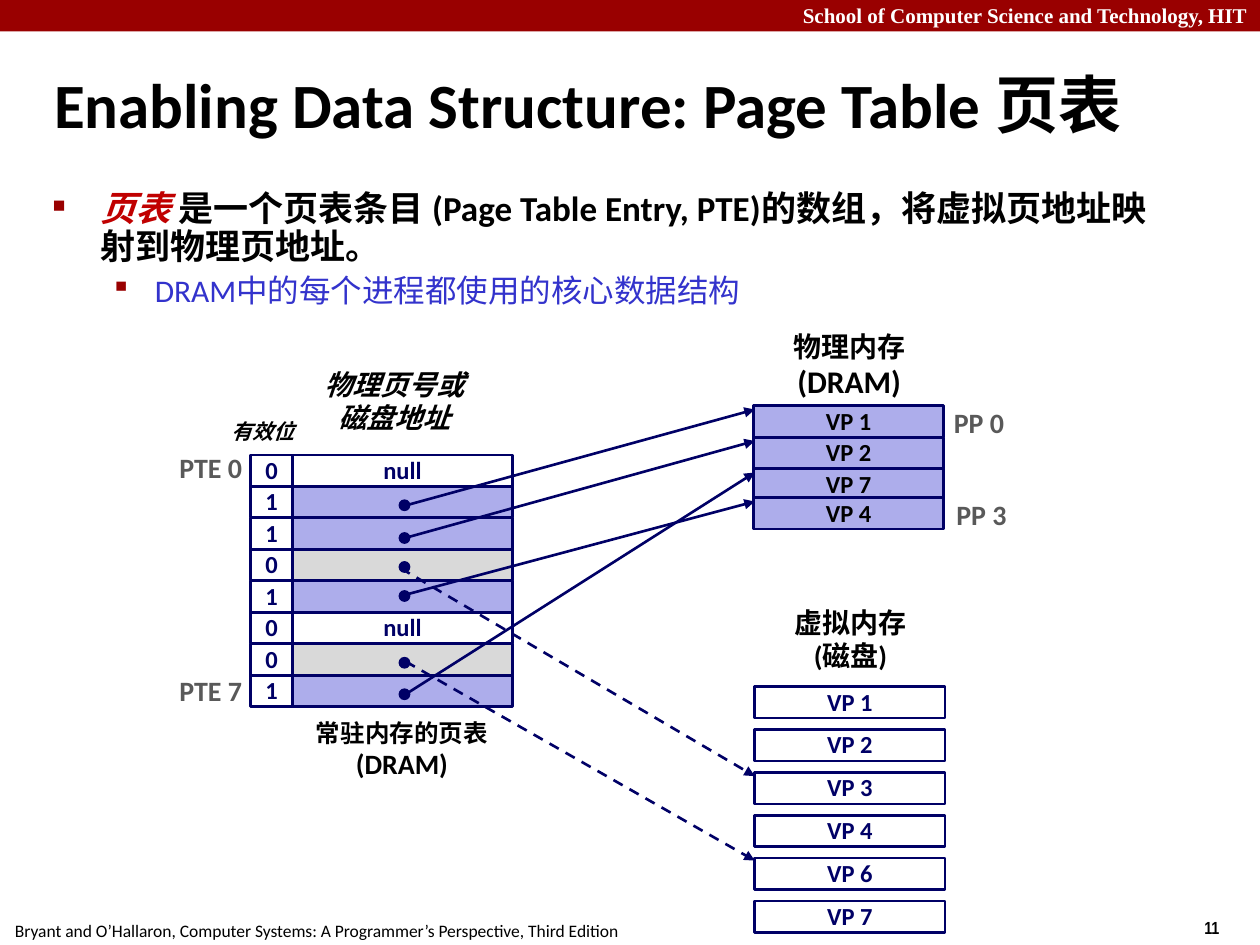
from lxml.etree import SubElement
from pptx import Presentation
from pptx.dml.color import RGBColor
from pptx.enum.dml import MSO_LINE
from pptx.enum.shapes import MSO_CONNECTOR, MSO_SHAPE
from pptx.enum.text import MSO_ANCHOR, PP_ALIGN
from pptx.oxml.ns import qn
from pptx.util import Inches, Pt

COLORS = {
    "band": "990000", "red": "C00000", "blue": "3333CC", "navy": "000066",
    "lilac": "ADADEB", "silver": "D9D9D9", "gray": "595959",
    "black": "000000", "white": "FFFFFF",
}
ROW_HEIGHT = 0.25
TABLE_TOP = 3.61
PAGE_LEFT = 5.99
PAGE_WIDTH = 1.51
DOT_SIZE = 0.08
PAGE_TABLE = [
    ("0", "null", "white"), ("1", "", "lilac"), ("1", "", "lilac"), ("0", "", "silver"),
    ("1", "", "lilac"), ("0", "null", "white"), ("0", "", "silver"), ("1", "", "lilac"),
]
MEMORY_PAGES = [("VP 1", 3.22), ("VP 2", 3.47), ("VP 7", 3.72), ("VP 4", 3.95)]
DISK_PAGES = ["VP 1", "VP 2", "VP 3", "VP 4", "VP 6", "VP 7"]
DISK_TOP = 5.45
DISK_STEP = 0.34
DOT_TOPS = [3.97, 4.23, 4.46, 4.69, 5.22, 5.47]
ARROWS = [
    (3.19, 4.02, 3.25, False), (3.25, 4.26, 3.5, False), (3.18, 4.51, 6.16, True),
    (3.22, 4.72, 3.98, False), (3.22, 5.25, 6.83, True), (3.22, 5.51, 3.75, False),
]


def color(name):
    return RGBColor.from_string(COLORS[name])


def style_font(font, size, tint, bold=True, italic=False, name="Calibri"):
    font.size = Pt(size)
    font.name = name
    font.bold = bold
    font.italic = italic
    font.color.rgb = color(tint)


def add_label(page, place, lines, tint="black", align=PP_ALIGN.CENTER, bold=True,
              italic=False, name="Calibri", spacing=0.98, anchor=MSO_ANCHOR.TOP, wrap=False):
    box = page.shapes.add_textbox(*map(Inches, place))
    frame = box.text_frame
    frame.word_wrap = wrap
    frame.vertical_anchor = anchor
    frame.text = "\n".join(text for text, _ in lines)
    for para, (_, size) in zip(frame.paragraphs, lines):
        para.alignment = align
        para.line_spacing = spacing
        for span in para.runs:
            style_font(span.font, size, tint, bold, italic, name)


def add_block(page, kind, place, fill, line="navy", width=1.5, text="", tint="navy"):
    block = page.shapes.add_shape(kind, *map(Inches, place))
    block.shadow.inherit = False
    block.fill.solid()
    block.fill.fore_color.rgb = color(fill)
    if line:
        block.line.color.rgb = color(line)
        block.line.width = Pt(width)
    else:
        block.line.fill.background()
    if text:
        frame = block.text_frame
        frame.word_wrap = False
        frame.vertical_anchor = MSO_ANCHOR.MIDDLE
        frame.text = text
        para = frame.paragraphs[0]
        para.alignment = PP_ALIGN.CENTER
        para.line_spacing = 0.98
        style_font(para.runs[0].font, 14, tint)


def add_arrow(page, left, top, end_top, dashed):
    arrow = page.shapes.add_connector(
        MSO_CONNECTOR.STRAIGHT, Inches(left), Inches(top), Inches(PAGE_LEFT), Inches(end_top))
    arrow.line.color.rgb = color("navy")
    arrow.line.width = Pt(1.5)
    if dashed:
        arrow.line.dash_style = MSO_LINE.DASH
    SubElement(arrow.line._get_or_add_ln(), qn("a:tailEnd"), type="triangle")
    SubElement(arrow._element.spPr, qn("a:effectLst"))


def add_bullet(para, mark, percent, margin, hanging):
    properties = para._p.get_or_add_pPr()
    properties.set("marL", str(Inches(margin)))
    properties.set("indent", str(-Inches(hanging)))
    tint = SubElement(properties, qn("a:buClr"))
    SubElement(tint, qn("a:srgbClr"), val=COLORS["band"])
    SubElement(properties, qn("a:buSzPct"), val=str(percent * 1000))
    SubElement(properties, qn("a:buChar"), char=mark)
    para.line_spacing = 0.9


def add_header_and_footer(page):
    add_block(page, MSO_SHAPE.RECTANGLE, (0, 0, 10, 0.25), "band", line=None)
    add_label(page, (0, -0.03, 10, 0.3), [("School of Computer Science and Technology, HIT", 12)],
              "white", PP_ALIGN.RIGHT, name="Times New Roman", spacing=1, wrap=True)
    add_label(page, (0.02, 7.25, 5.01, 0.27),
              [("Bryant and O’Hallaron, Computer Systems: A Programmer’s Perspective, Third Edition", 10)],
              align=PP_ALIGN.LEFT, bold=False, spacing=1)
    add_label(page, (9.46, 7.23, 0.75, 0.27), [("11", 10)],
              align=PP_ALIGN.LEFT, name="Arial Narrow", spacing=1)


def set_title(page, text):
    title = page.shapes.title
    title.left, title.top, title.width, title.height = map(Inches, (0.33, 0.39, 9.06, 0.86))
    frame = title.text_frame
    frame.text = text
    frame.vertical_anchor = MSO_ANCHOR.MIDDLE
    frame.paragraphs[0].alignment = PP_ALIGN.LEFT
    style_font(frame.paragraphs[0].runs[0].font, 36, "black")


def add_body(page):
    box = page.shapes.add_textbox(*map(Inches, (0.32, 1.47, 9.09, 1.41)))
    frame = box.text_frame
    frame.word_wrap = True
    definition = frame.paragraphs[0]
    add_bullet(definition, "■", 50, 0.38, 0.38)
    definition.text = "页表 "
    style_font(definition.runs[0].font, 20, "red", italic=True)
    span = definition.add_run()
    span.text = "是一个页表条目 (Page Table Entry, PTE)的数组，将虚拟页地址映射到物理页地址。"
    style_font(span.font, 20, "black")
    detail = frame.add_paragraph()
    detail.level = 1
    add_bullet(detail, "▪", 90, 0.81, 0.35)
    detail.space_before = Pt(4.5)
    detail.text = "DRAM中的每个进程都使用的核心数据结构"
    style_font(detail.runs[0].font, 18, "blue", bold=False)


def add_page_table(page):
    for row, (valid, address, fill) in enumerate(PAGE_TABLE):
        top = TABLE_TOP + row * ROW_HEIGHT
        add_block(page, MSO_SHAPE.RECTANGLE, (1.99, top, 0.33, ROW_HEIGHT), "white", text=valid)
        add_block(page, MSO_SHAPE.RECTANGLE, (2.32, top, 1.75, ROW_HEIGHT), fill, text=address)
    add_label(page, (1.74, 3.28, 0.75, 0.3), [("有效位", 12)],
              align=PP_ALIGN.LEFT, italic=True, wrap=True)
    add_label(page, (2.38, 2.88, 1.5, 0.62), [("物理页号或", 16), ("磁盘地址", 16)],
              italic=True, anchor=MSO_ANCHOR.MIDDLE)
    add_label(page, (2.29, 5.66, 1.8, 0.59), [("常驻内存的页表", 14), ("(DRAM)", 16)])


def add_memories(page):
    add_label(page, (6.04, 2.58, 1.4, 0.66), [("物理内存", 16), ("(DRAM)", 18)])
    for name, top in MEMORY_PAGES:
        add_block(page, MSO_SHAPE.RECTANGLE, (5.98, top, PAGE_WIDTH, ROW_HEIGHT),
                  "lilac", text=name, tint="black")
    add_label(page, (6.05, 4.77, 1.4, 0.62), [("虚拟内存", 16), ("(磁盘)", 16)])
    for row, name in enumerate(DISK_PAGES):
        add_block(page, MSO_SHAPE.RECTANGLE,
                  (PAGE_LEFT, DISK_TOP + row * DISK_STEP, PAGE_WIDTH, ROW_HEIGHT),
                  "white", text=name)


def add_entry_names(page):
    for name, left, top, width, align in [
        ("PTE 0", 1.32, 3.54, 0.7, PP_ALIGN.RIGHT),
        ("PTE 7", 1.32, 5.31, 0.7, PP_ALIGN.RIGHT),
        ("PP 0", 7.47, 3.18, 0.6, PP_ALIGN.CENTER),
        ("PP 3", 7.49, 3.91, 0.6, PP_ALIGN.CENTER),
    ]:
        add_label(page, (left, top, width, 0.36), [(name, 16)], "gray", align,
                  anchor=MSO_ANCHOR.MIDDLE)


def main():
    deck = Presentation()
    deck.slide_width, deck.slide_height = Inches(10), Inches(7.5)
    page = deck.slides.add_slide(deck.slide_layouts[5])
    add_header_and_footer(page)
    set_title(page, "Enabling Data Structure: Page Table 页表")
    add_body(page)
    add_page_table(page)
    add_memories(page)
    add_entry_names(page)
    for arrow in ARROWS:
        add_arrow(page, *arrow)
    for top in DOT_TOPS:
        add_block(page, MSO_SHAPE.OVAL, (3.17, top, DOT_SIZE, DOT_SIZE), "navy", width=1)
    deck.save("out.pptx")


if __name__ == "__main__":
    main()
